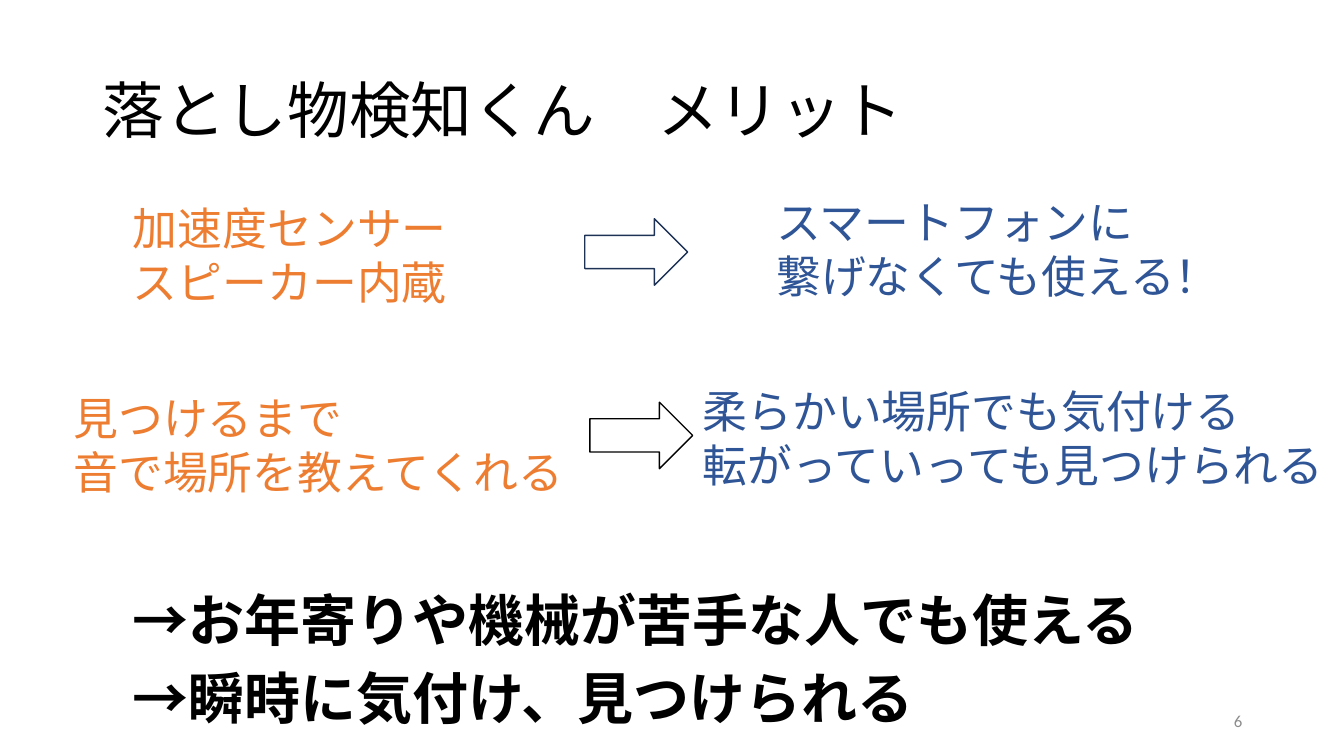
from pptx import Presentation
from pptx.dml.color import RGBColor
from pptx.enum.shapes import MSO_SHAPE
from pptx.enum.text import MSO_ANCHOR, PP_ALIGN
from pptx.util import Inches, Pt

ARROW = MSO_SHAPE.RIGHT_ARROW
TOP, MIDDLE = MSO_ANCHOR.TOP, MSO_ANCHOR.MIDDLE
LEFT, RIGHT = PP_ALIGN.LEFT, PP_ALIGN.RIGHT

BLACK = RGBColor(0x00, 0x00, 0x00)
WHITE = RGBColor(0xFF, 0xFF, 0xFF)
ORANGE = RGBColor(0xED, 0x7D, 0x31)
BLUE = RGBColor(0x2F, 0x55, 0x97)
NAVY = RGBColor(0x1E, 0x32, 0x56)
GRAY = RGBColor(0x8C, 0x8C, 0x8C)


class MeritPage:
    """Draws styled elements on one slide."""

    font_name = "Calibri"

    def __init__(self, deck):
        self.page = deck.slides.add_slide(deck.slide_layouts[6])

    def text(self, bounds, lines, size, color, bold=False, anchor=TOP,
             align=LEFT, spacing=1.0, wrap=True):
        box = self.page.shapes.add_textbox(*map(Inches, bounds))
        frame = box.text_frame
        frame.word_wrap = wrap
        frame.vertical_anchor = anchor
        for index, line in enumerate(lines):
            para = frame.add_paragraph() if index else frame.paragraphs[0]
            para.alignment = align
            para.line_spacing = spacing
            span = para.add_run()
            span.text = line
            span.font.name = self.font_name
            span.font.size = Pt(size)
            span.font.bold = bold
            span.font.color.rgb = color

    def arrow(self, left, top, color):
        shape = self.page.shapes.add_shape(
            ARROW, Inches(left), Inches(top), Inches(1.02), Inches(0.66))
        shape.shadow.inherit = False
        shape.fill.solid()
        shape.fill.fore_color.rgb = WHITE
        shape.line.color.rgb = color
        shape.line.width = Pt(1)


def main():
    deck = Presentation()
    deck.slide_width, deck.slide_height = Inches(13.33), Inches(7.5)
    merits = MeritPage(deck)

    merits.text((0.92, 0.4, 11.5, 1.45), ["落とし物検知くん　メリット"], 44, BLACK,
                anchor=MIDDLE, spacing=0.9)

    statements = [
        ((1.22, 1.94, 3.68, 1.18), ["加速度センサー", "スピーカー内蔵"], ORANGE),
        ((7.6, 1.88, 5.32, 1.18), ["スマートフォンに", "繋げなくても使える！"], BLUE),
        ((0.63, 3.83, 5.24, 1.18), ["見つけるまで", "音で場所を教えてくれる"], ORANGE),
        ((6.87, 3.76, 6.78, 1.18),
         ["柔らかい場所でも気付ける", "転がっていっても見つけられる"], BLUE),
    ]
    for bounds, lines, color in statements:
        merits.text(bounds, lines, 32, color, wrap=False)

    merits.arrow(5.8, 2.17, NAVY)
    merits.arrow(5.85, 3.99, BLACK)

    conclusions = ["→お年寄りや機械が苦手な人でも使える", "→瞬時に気付け、見つけられる"]
    for index, line in enumerate(conclusions):
        merits.text((1.22, 5.76 + 0.77 * index, 10.37, 0.77), [line], 40, BLACK,
                    bold=True)

    merits.text((9.42, 6.95, 3, 0.4), ["6"], 12, GRAY, anchor=MIDDLE, align=RIGHT)
    deck.save("out.pptx")


if __name__ == "__main__":
    main()
